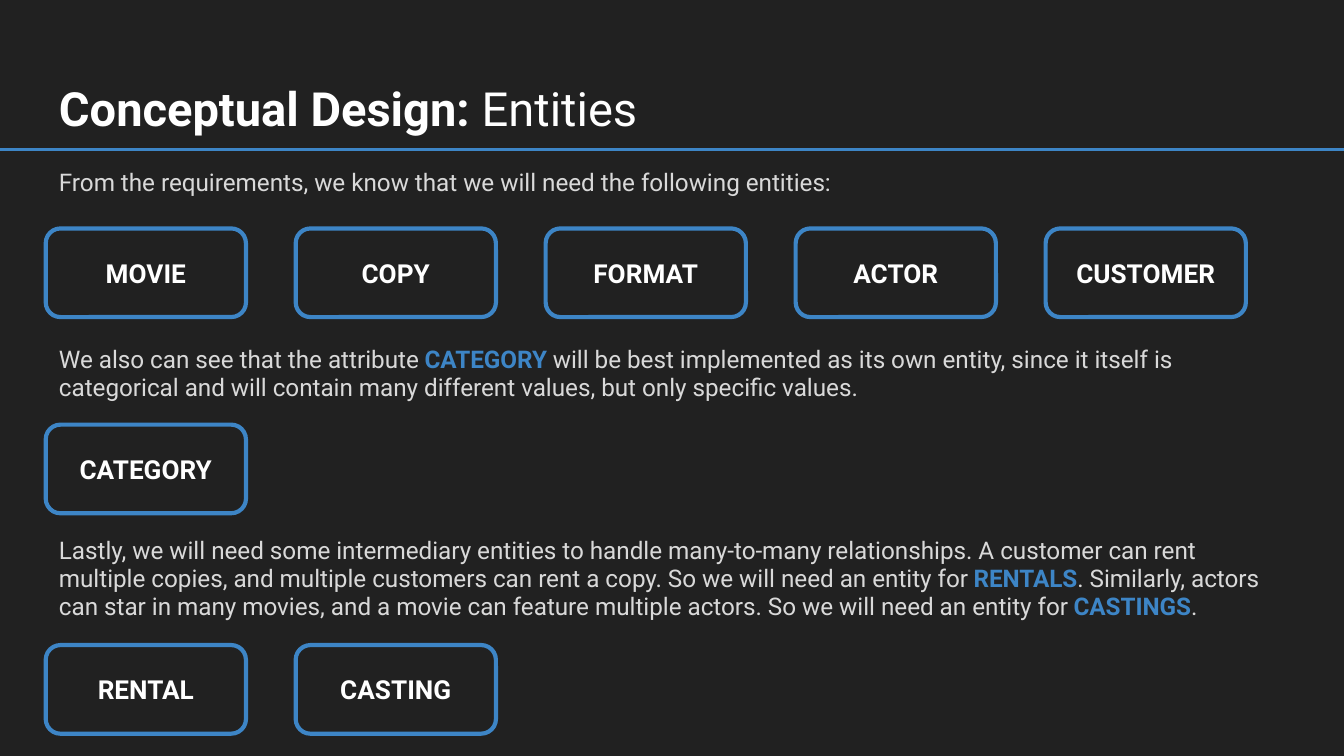
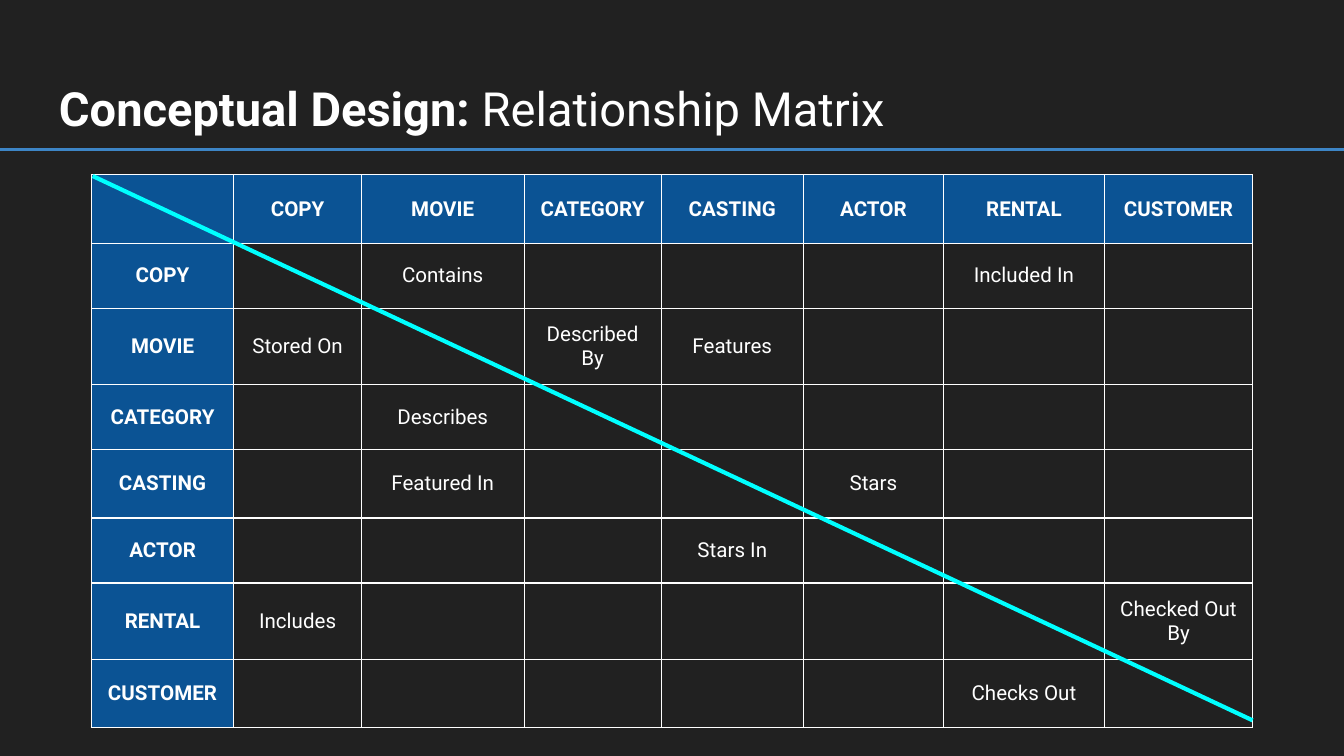
"""Build two slides on entities and their relationship matrix."""
from dataclasses import dataclass

from lxml import etree
from pptx import Presentation
from pptx import util as u
from pptx.dml.color import RGBColor
from pptx.enum import shapes, text
from pptx.oxml import ns

FONT = "Roboto"
HUES = {
    "back": "212121",
    "white": "FFFFFF",
    "body": "D9D9D9",
    "blue": "3D85C6",
    "head": "0B5394",
    "cyan": "00FFFF",
}
LEFT, WIDE, PAD = 0.34, 9.32, 0.1
BOX_W, BOX_H, STEP = 1.49, 0.66, 1.86


@dataclass
class Note:
    """A body paragraph, with key words between asterisks."""
    top: float
    high: float
    words: str


@dataclass
class Band:
    """A row of entity boxes."""
    top: float
    names: list[str]


NOTES = [
    Note(1.16, 0.5, "From the requirements, we know that we will need the following entities:"),
    Note(2.48, 0.66, "We also can see that the attribute *CATEGORY* will be best implemented "
         "as its own entity, since it itself is categorical and will contain many different "
         "values, but only specific values."),
    Note(3.9, 0.82, "Lastly, we will need some intermediary entities to handle many-to-many "
         "relationships. A customer can rent multiple copies, and multiple customers can rent "
         "a copy. So we will need an entity for *RENTALS*. Similarly, actors can star in many "
         "movies, and a movie can feature multiple actors. So we will need an entity for "
         "*CASTINGS*."),
]
BANDS = [
    Band(1.7, ["MOVIE", "COPY", "FORMAT", "ACTOR", "CUSTOMER"]),
    Band(3.16, ["CATEGORY"]),
    Band(4.8, ["RENTAL", "CASTING"]),
]
KEYS = ["COPY", "MOVIE", "CATEGORY", "CASTING", "ACTOR", "RENTAL", "CUSTOMER"]
LINKS = {
    ("COPY", "MOVIE"): "Contains",
    ("COPY", "RENTAL"): "Included In",
    ("MOVIE", "COPY"): "Stored On",
    ("MOVIE", "CATEGORY"): "Described By",
    ("MOVIE", "CASTING"): "Features",
    ("CATEGORY", "MOVIE"): "Describes",
    ("CASTING", "MOVIE"): "Featured In",
    ("CASTING", "ACTOR"): "Stars",
    ("ACTOR", "CASTING"): "Stars In",
    ("RENTAL", "COPY"): "Includes",
    ("RENTAL", "CUSTOMER"): "Checked Out By",
    ("CUSTOMER", "RENTAL"): "Checks Out",
}
COLS = [1.06, 0.95, 1.21, 1.02, 1.06, 1.04, 1.2, 1.1]
ROWS = [0.51, 0.44, 0.49, 0.48, 0.51, 0.47, 0.55, 0.51]


def tint(name: str) -> RGBColor:
    """Look up a colour by name."""
    return RGBColor.from_string(HUES[name])


def write(frame, words: str, *, size: float, hue: str = "white", mark: str = "white",
          bold: bool = False, mid: bool = False, lead: float | None = None,
          gap: float | None = None) -> None:
    """Write one paragraph, with bold marked runs between asterisks."""
    frame.word_wrap = True
    para = frame.paragraphs[0]
    para.alignment = text.PP_ALIGN.CENTER if mid else text.PP_ALIGN.LEFT
    if lead:
        para.line_spacing = lead
    if gap:
        para.space_before = para.space_after = u.Pt(gap)
    for i, part in enumerate(words.split("*")):
        if part:
            run = para.add_run()
            run.text = part
            run.font.name, run.font.size = FONT, u.Pt(size)
            run.font.bold = bold or i % 2 == 1
            run.font.color.rgb = tint(mark if i % 2 else hue)


def inset(item) -> None:
    """Give a text frame or cell equal margins."""
    item.margin_left = item.margin_right = u.Inches(PAD)
    item.margin_top = item.margin_bottom = u.Inches(PAD)


def label(slide, top: float, high: float, words: str, **look) -> None:
    """Add a text box across the content width."""
    box = slide.shapes.add_textbox(*map(u.Inches, (LEFT, top, WIDE, high)))
    inset(box.text_frame)
    write(box.text_frame, words, **look)


def rule(slide, ends: tuple[float, ...], hue: str, width: float) -> None:
    """Draw a straight line without a shadow."""
    line = slide.shapes.add_connector(shapes.MSO_CONNECTOR.STRAIGHT, *map(u.Inches, ends))
    line.line.color.rgb = tint(hue)
    line.line.width = u.Pt(width)
    etree.SubElement(line._element.spPr, ns.qn("a:effectLst"))


def start(deck, title: str):
    """Add a dark slide with its title and rule."""
    slide = deck.slides.add_slide(deck.slide_layouts[6])
    slide.background.fill.solid()
    slide.background.fill.fore_color.rgb = tint("back")
    label(slide, 0.49, 0.63, f"*Conceptual Design: *{title}", size=25.2)
    rule(slide, (0, 1.11, 10, 1.11), "blue", 1.5)
    return slide


def entity(slide, left: float, top: float, name: str) -> None:
    """Add a rounded entity box."""
    box = slide.shapes.add_shape(shapes.MSO_SHAPE.ROUNDED_RECTANGLE,
                                 *map(u.Inches, (left, top, BOX_W, BOX_H)))
    box.shadow.inherit = False
    box.fill.solid()
    box.fill.fore_color.rgb = tint("back")
    box.line.color.rgb = tint("blue")
    box.line.width = u.Pt(2.25)
    inset(box.text_frame)
    box.text_frame.vertical_anchor = text.MSO_ANCHOR.MIDDLE
    write(box.text_frame, name, size=14, bold=True, mid=True)


def edge(cell) -> None:
    """Give a cell thin white borders."""
    props = cell._tc.get_or_add_tcPr()
    for side in "LRTB":
        line = etree.SubElement(props, ns.qn(f"a:ln{side}"), w=str(u.Pt(0.75)))
        fill = etree.SubElement(line, ns.qn("a:solidFill"))
        etree.SubElement(fill, ns.qn("a:srgbClr"), val=HUES["white"])


def fill_cell(cell, words: str, head: bool) -> None:
    """Format one matrix cell."""
    inset(cell)
    cell.vertical_anchor = text.MSO_ANCHOR.MIDDLE
    edge(cell)
    if head:
        cell.fill.solid()
        cell.fill.fore_color.rgb = tint("head")
    else:
        cell.fill.background()
    if words:
        write(cell.text_frame, words, size=11, bold=head, mid=True)
    else:
        para = cell.text_frame.paragraphs[0]._p
        last = etree.SubElement(para, ns.qn("a:endParaRPr"), sz="1700")
        etree.SubElement(last, ns.qn("a:latin"), typeface=FONT)


def matrix(slide) -> None:
    """Add the relationship table."""
    spot = (0.68, 1.3, sum(COLS), sum(ROWS))
    grid = slide.shapes.add_table(len(ROWS), len(COLS), *map(u.Inches, spot)).table
    grid.first_row = grid.horz_banding = False
    for col, wide in zip(grid.columns, COLS):
        col.width = u.Inches(wide)
    for row, high in zip(grid.rows, ROWS):
        row.height = u.Inches(high)
    names = ["", *KEYS]
    for r, down in enumerate(names):
        for c, over in enumerate(names):
            head = r == 0 or c == 0
            words = down + over if head else LINKS.get((down, over), "")
            fill_cell(grid.cell(r, c), words, head)


def main() -> None:
    """Build and save the deck."""
    deck = Presentation()
    deck.slide_width = u.Inches(10)
    deck.slide_height = u.Inches(10 * 9 / 16)

    slide = start(deck, "Entities")
    for note in NOTES:
        label(slide, note.top, note.high, note.words, size=13, hue="body", mark="blue",
              lead=0.95, gap=12)
    for band in BANDS:
        for i, name in enumerate(band.names):
            entity(slide, LEFT + i * STEP, band.top, name)

    slide = start(deck, "Relationship Matrix")
    matrix(slide)
    rule(slide, (0.69, 1.31, 9.32, 5.36), "cyan", 2.25)
    deck.save("out.pptx")


if __name__ == "__main__":
    main()
